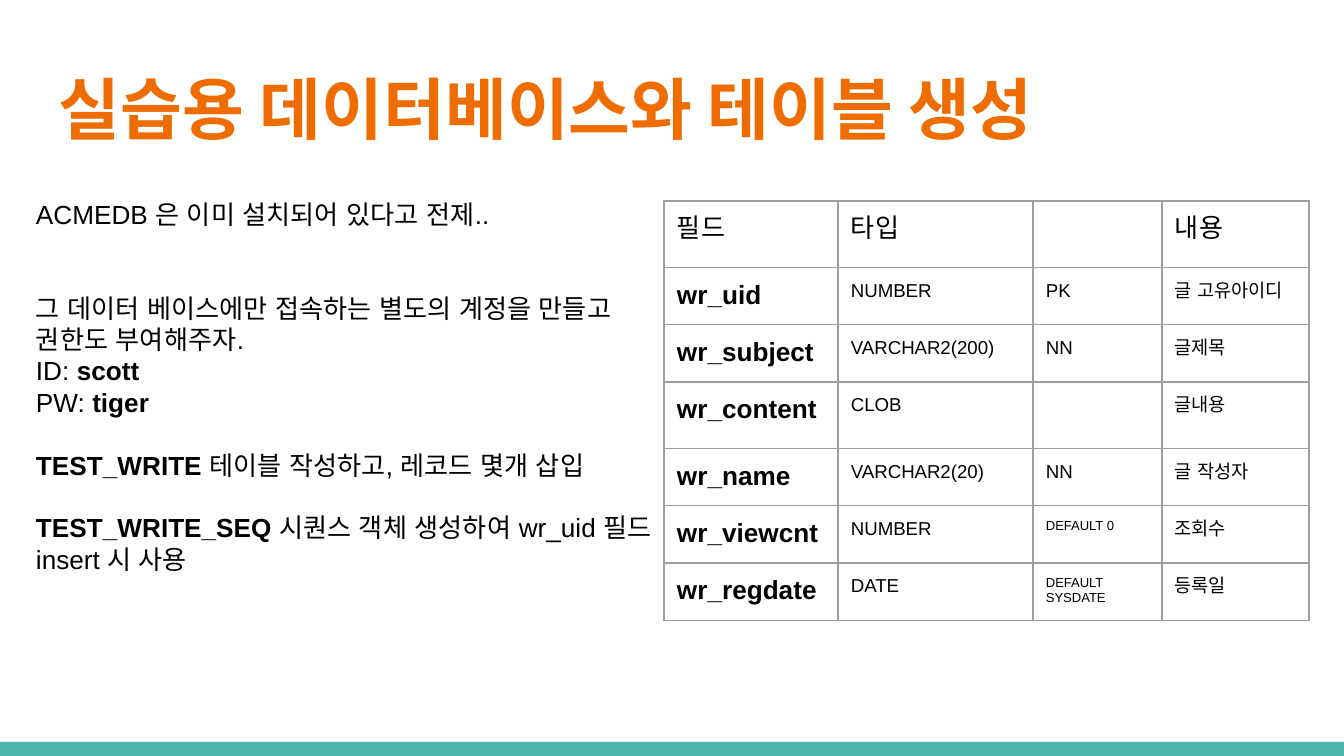
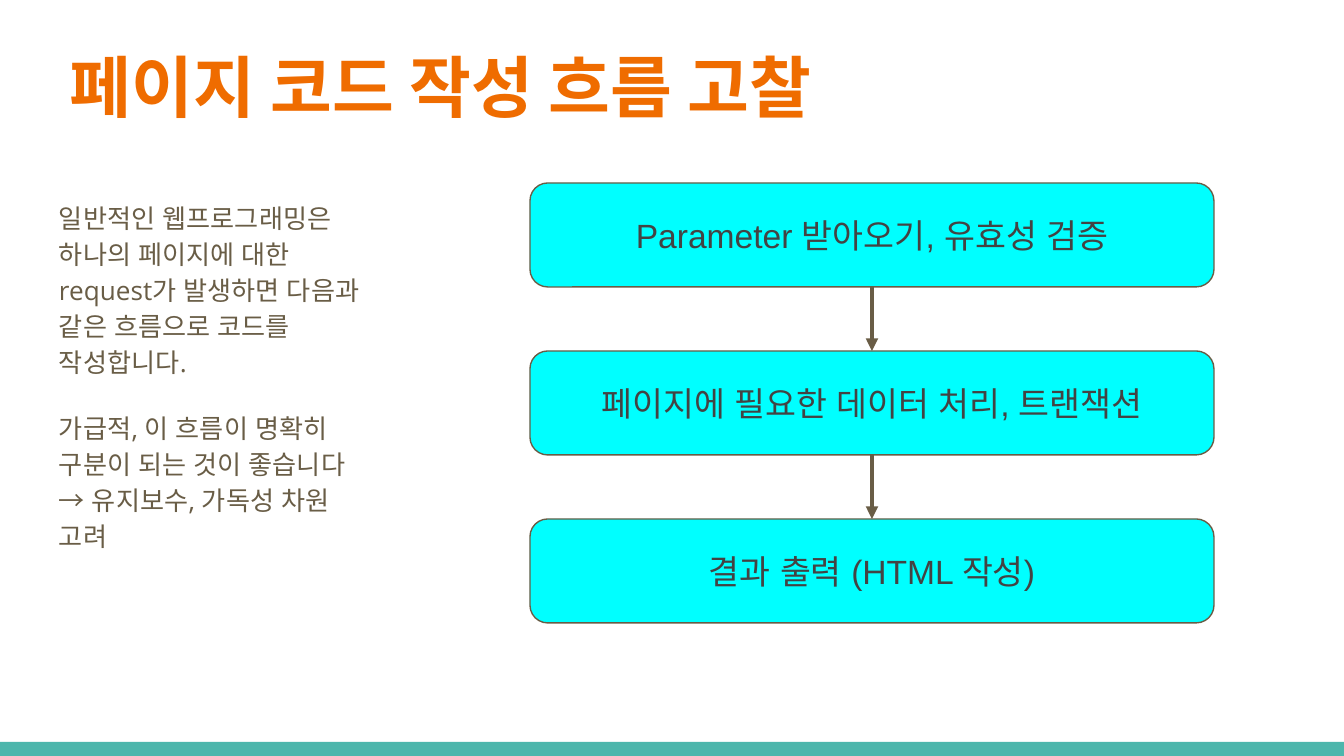
"""Build two slides about a practice database and the flow of page code."""
from copy import deepcopy
from itertools import pairwise

from lxml.etree import SubElement
from pptx import Presentation
from pptx.dml.color import RGBColor
from pptx.enum.shapes import MSO_CONNECTOR, MSO_SHAPE
from pptx.enum.text import MSO_ANCHOR, PP_ALIGN
from pptx.oxml.ns import qn
from pptx.util import Pt

SLIDE_WIDTH, SLIDE_HEIGHT = 1344, 756
EMU_PER_PX = 9144000 / SLIDE_WIDTH
BLANK_LAYOUT = 6
BAND_HEIGHT = 14
INSET = 13

WHITE = RGBColor(0xFF, 0xFF, 0xFF)
BLACK = RGBColor(0x00, 0x00, 0x00)
TEAL = RGBColor(0x4D, 0xB6, 0xAC)
ORANGE = RGBColor(0xEF, 0x6C, 0x00)
BROWN = RGBColor(0x69, 0x5D, 0x46)
CYAN = RGBColor(0x00, 0xFF, 0xFF)
DARK_GRAY = RGBColor(0x43, 0x43, 0x43)
BORDER_GRAY = RGBColor(0x9E, 0x9E, 0x9E)

TITLE_STYLE = {"name": "Arial Narrow", "size": Pt(36), "bold": True, "color": ORANGE}
SETUP_STYLE = {"name": "Arial", "size": Pt(14), "bold": False, "color": BLACK}
FLOW_STYLE = {"name": "Open Sans", "size": Pt(14), "bold": False, "color": BROWN}
STEP_STYLE = {"name": "Arial", "size": Pt(18), "bold": False, "color": DARK_GRAY}
FIELD_STYLE = SETUP_STYLE | {"bold": True}
DETAIL_STYLE = SETUP_STYLE | {"size": Pt(10)}
DEFAULT_STYLE = SETUP_STYLE | {"size": Pt(7)}

ONE_LINE = {"space_before": Pt(16.8)}
TWO_LINES = {"space_before": Pt(33.6)}
SETUP_PARAGRAPHS = [
    ([("ACMEDB 은 이미 설치되어 있다고 전제..", False)], {}),
    ([("그 데이터 베이스에만 접속하는 별도의 계정을 만들고 권한도 부여해주자.\nID: ", False),
      ("scott", True)], TWO_LINES),
    ([("PW: ", False), ("tiger", True)], {}),
    ([("TEST_WRITE ", True), ("테이블 작성하고, 레코드 몇개 삽입", False)], ONE_LINE),
    ([("TEST_WRITE_SEQ", True),
      (" 시퀀스 객체 생성하여 wr_uid 필드 insert 시 사용", False)], ONE_LINE),
]

FLOW_SPACING = {"line_spacing": 1.15}
FLOW_PARAGRAPHS = [
    ([("일반적인 웹프로그래밍은\n하나의 페이지에 대한 request가 발생하면 다음과 같은 흐름으로 "
       "코드를 작성합니다.", False)], FLOW_SPACING),
    ([("가급적, 이 흐름이 명확히 구분이 되는 것이 좋습니다\n→ 유지보수, 가독성 차원 고려", False)],
     FLOW_SPACING | {"space_before": Pt(16), "space_after": Pt(16)}),
]

FIELD_ROWS = [
    ("필드", "타입", "", "내용"),
    ("wr_uid", "NUMBER", "PK", "글 고유아이디"),
    ("wr_subject", "VARCHAR2(200)", "NN", "글제목"),
    ("wr_content", "CLOB", "", "글내용"),
    ("wr_name", "VARCHAR2(20)", "NN", "글 작성자"),
    ("wr_viewcnt", "NUMBER", "DEFAULT 0", "조회수"),
    ("wr_regdate", "DATE", "DEFAULT SYSDATE", "등록일"),
]
COLUMN_WIDTHS = (174, 195, 129, 147)
ROW_HEIGHT, ROW_HEIGHT_WITH_GAP = 56, 64

FLOW_STEPS = (
    "Parameter 받아오기, 유효성 검증",
    "페이지에 필요한 데이터 처리, 트랜잭션",
    "결과 출력 (HTML 작성)",
)
STEP_LEFT, STEP_TOP, STEP_WIDTH, STEP_HEIGHT, STEP_PITCH = 530, 183, 684, 104, 168


def px(*lengths):
    """Turn pixel lengths into a list of EMU."""
    return [round(length * EMU_PER_PX) for length in lengths]


def apply_format(target, values):
    """Set each named attribute of the target."""
    for name, value in values.items():
        setattr(target, name, value)


def set_font(run, style):
    """Give a run its font, for Latin and Korean letters alike."""
    apply_format(run.font, {key: style[key] for key in ("name", "size", "bold")})
    run.font.color.rgb = style["color"]
    SubElement(run.font._element, qn("a:ea"), typeface=style["name"])


def add_text(paragraph, text, style):
    """Add styled text, with line breaks at its newlines."""
    for index, line in enumerate(text.split("\n")):
        if index:
            paragraph.add_line_break()
            line_break = paragraph._p.findall(qn("a:br"))[-1]
            line_break.append(deepcopy(paragraph.runs[-1].font._element))
        run = paragraph.add_run()
        run.text = line
        set_font(run, style)


def format_frame(frame, anchor=MSO_ANCHOR.TOP):
    """Wrap a text frame and give it the shared insets."""
    inset = px(INSET)[0]
    sides = ("left", "top", "right", "bottom")
    apply_format(frame, {f"margin_{side}": inset for side in sides})
    apply_format(frame, {"word_wrap": True, "vertical_anchor": anchor})


def add_text_box(slide, box, paragraphs, style):
    """Add a text box of paragraphs made of (text, bold) runs."""
    frame = slide.shapes.add_textbox(*px(*box)).text_frame
    format_frame(frame)
    for index, (runs, spacing) in enumerate(paragraphs):
        paragraph = frame.add_paragraph() if index else frame.paragraphs[0]
        apply_format(paragraph, spacing)
        for text, bold in runs:
            add_text(paragraph, text, style | {"bold": bold})


def add_filled_shape(slide, kind, box, color):
    """Add a preset shape with a plain fill and no shadow."""
    shape = slide.shapes.add_shape(kind, *px(*box))
    shape.shadow.inherit = False
    shape.fill.solid()
    shape.fill.fore_color.rgb = color
    shape.line.fill.background()
    return shape


def add_slide(presentation, title, title_box):
    """Add a white slide with its bottom band and title."""
    slide = presentation.slides.add_slide(presentation.slide_layouts[BLANK_LAYOUT])
    slide.background.fill.solid()
    slide.background.fill.fore_color.rgb = WHITE
    band = (0, SLIDE_HEIGHT - BAND_HEIGHT, SLIDE_WIDTH, BAND_HEIGHT)
    add_filled_shape(slide, MSO_SHAPE.RECTANGLE, band, TEAL)
    add_text_box(slide, title_box, [([(title, True)], {})], TITLE_STYLE)
    return slide


def set_borders(cell):
    """Draw a thin gray line on each side of a cell."""
    properties = cell._tc.get_or_add_tcPr()
    for index, side in enumerate(("lnL", "lnR", "lnT", "lnB")):
        line = properties.makeelement(qn(f"a:{side}"), {"w": str(Pt(0.75))})
        fill = SubElement(line, qn("a:solidFill"))
        SubElement(fill, qn("a:srgbClr"), val=str(BORDER_GRAY))
        properties.insert(index, line)


def cell_style(row, column, text):
    """Choose the text style of a table cell."""
    if row == 0:
        return SETUP_STYLE
    if column == 0:
        return FIELD_STYLE
    return DEFAULT_STYLE if text.startswith("DEFAULT") else DETAIL_STYLE


def add_field_table(slide, left, top):
    """Add the table of field names, types and contents."""
    heights = [ROW_HEIGHT if all(row) else ROW_HEIGHT_WITH_GAP for row in FIELD_ROWS]
    box = px(left, top, sum(COLUMN_WIDTHS), sum(heights))
    table = slide.shapes.add_table(len(heights), len(COLUMN_WIDTHS), *box).table
    apply_format(table, {"first_row": False, "horz_banding": False})
    for column, width in zip(table.columns, px(*COLUMN_WIDTHS)):
        column.width = width
    for row, height in zip(table.rows, px(*heights)):
        row.height = height
    for row_index, texts in enumerate(FIELD_ROWS):
        for column_index, text in enumerate(texts):
            cell = table.cell(row_index, column_index)
            inset = px(INSET)[0]
            apply_format(cell, {"margin_left": inset, "margin_right": inset,
                                "margin_top": inset, "margin_bottom": inset})
            cell.fill.background()
            set_borders(cell)
            if text:
                style = cell_style(row_index, column_index, text)
                add_text(cell.text_frame.paragraphs[0], text, style)


def add_step(slide, index, text):
    """Add one rounded step of the flow."""
    box = (STEP_LEFT, STEP_TOP + index * STEP_PITCH, STEP_WIDTH, STEP_HEIGHT)
    step = add_filled_shape(slide, MSO_SHAPE.ROUNDED_RECTANGLE, box, CYAN)
    step.adjustments[0] = 0.17
    step.line.color.rgb = BROWN
    step.line.width = Pt(0.75)
    format_frame(step.text_frame, MSO_ANCHOR.MIDDLE)
    paragraph = step.text_frame.paragraphs[0]
    paragraph.alignment = PP_ALIGN.CENTER
    add_text(paragraph, text, STEP_STYLE)
    return step


def add_arrow(slide, upper, lower):
    """Join the bottom of one step to the top of the next."""
    arrow = slide.shapes.add_connector(MSO_CONNECTOR.STRAIGHT, 0, 0, 0, 0)
    arrow.begin_connect(upper, 2)
    arrow.end_connect(lower, 0)
    arrow.line.color.rgb = BROWN
    arrow.line.width = Pt(2.25)
    SubElement(arrow.line._get_or_add_ln(), qn("a:tailEnd"), type="triangle")
    SubElement(arrow._element.spPr, qn("a:effectLst"))


def build_database_slide(presentation):
    """Build the slide on creating the database and its table."""
    slide = add_slide(presentation, "실습용 데이터베이스와 테이블 생성", (46, 54, 1252, 103))
    add_text_box(slide, (23, 185, 645, 485), SETUP_PARAGRAPHS, SETUP_STYLE)
    add_field_table(slide, 664, 201)


def build_flow_slide(presentation):
    """Build the slide on the flow of page code."""
    slide = add_slide(presentation, "페이지 코드 작성 흐름 고찰", (57, 32, 1048, 103))
    add_text_box(slide, (46, 185, 343, 485), FLOW_PARAGRAPHS, FLOW_STYLE)
    steps = [add_step(slide, index, text) for index, text in enumerate(FLOW_STEPS)]
    for upper, lower in pairwise(steps):
        add_arrow(slide, upper, lower)


def main():
    """Build and save the presentation."""
    presentation = Presentation()
    width, height = px(SLIDE_WIDTH, SLIDE_HEIGHT)
    apply_format(presentation, {"slide_width": width, "slide_height": height})
    build_database_slide(presentation)
    build_flow_slide(presentation)
    presentation.save("out.pptx")


if __name__ == "__main__":
    main()
